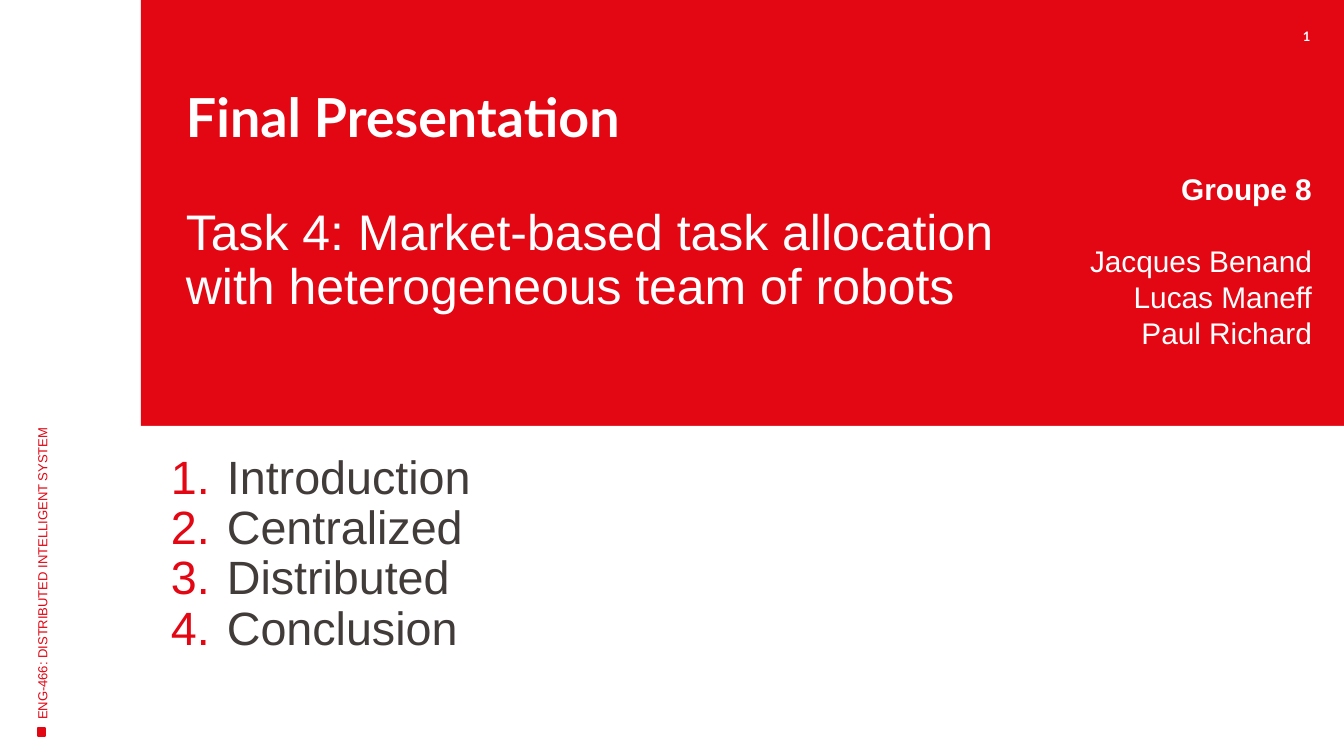
"""Build the opening slide of a robotics project presentation."""
from dataclasses import dataclass
from typing import Optional

from lxml import etree
from pptx import Presentation
from pptx import util as u
from pptx.dml.color import RGBColor
from pptx.enum import shapes, text
from pptx.oxml.ns import qn

PX = 914400 / 134.4
COLORS = {"red": "E30613", "white": "FFFFFF", "ink": "413C3A"}
LEFT, CENTER, RIGHT = text.PP_ALIGN.LEFT, text.PP_ALIGN.CENTER, text.PP_ALIGN.RIGHT


@dataclass(frozen=True)
class Box:
    left: int
    top: int
    width: int
    height: int

    def emu(self) -> list[int]:
        return [px(n) for n in (self.left, self.top, self.width, self.height)]


@dataclass(frozen=True)
class Panel:
    box: Box
    color: str
    outlined: bool = False


BACKDROP = [
    Panel(Box(672, 0, 672, 756), "red"),
    Panel(Box(141, 0, 679, 756), "red"),
    Panel(Box(133, 426, 1211, 330), "white"),
    Panel(Box(28, 715, 71, 27), "white", True),
    Panel(Box(38, 728, 7, 8), "red", True),
]
MEMBERS = ["Jacques Benand", "Lucas Maneff", "Paul Richard"]
CHAPTERS = ["Introduction", "Centralized", "Distributed", "Conclusion"]


def px(length: int) -> int:
    return round(length * PX)


def rgb(name: str) -> RGBColor:
    return RGBColor.from_string(COLORS[name])


def add_panel(slide, panel: Panel) -> None:
    shape = slide.shapes.add_shape(shapes.MSO_SHAPE.RECTANGLE, *panel.box.emu())
    shape.shadow.inherit = False
    shape.fill.solid()
    shape.fill.fore_color.rgb = rgb(panel.color)
    if panel.outlined:
        shape.line.color.rgb = rgb(panel.color)
        shape.line.width = u.Pt(0.75)
    else:
        shape.line.fill.background()


def set_frame(shape, insets: tuple[int, int, int, int], anchor=text.MSO_ANCHOR.TOP):
    frame = shape.text_frame
    frame.word_wrap = True
    frame.auto_size = text.MSO_AUTO_SIZE.NONE
    frame.vertical_anchor = anchor
    frame.margin_left, frame.margin_top, frame.margin_right, frame.margin_bottom = map(px, insets)
    return frame


def add_text(frame, words: str, *, size: float, color: str = "white", font: str = "Arial",
             bold: bool = False, align=LEFT, pitch: Optional[float] = None, before: float = 0):
    first = frame.paragraphs[0]
    paragraph = frame.add_paragraph() if first.runs else first
    paragraph.alignment = align
    paragraph.space_before = u.Pt(before)
    if pitch:
        paragraph.line_spacing = u.Pt(pitch)
    run = paragraph.add_run()
    run.text = words
    run.font.size = u.Pt(size)
    run.font.name = font
    run.font.bold = bold
    run.font.color.rgb = rgb(color)
    return paragraph


def number_paragraph(paragraph, color: str, margin: int, hanging: int) -> None:
    properties = paragraph._p.get_or_add_pPr()
    properties.set("marL", str(px(margin)))
    properties.set("indent", str(-px(hanging)))
    bullet_color = etree.SubElement(properties, qn("a:buClr"))
    etree.SubElement(bullet_color, qn("a:srgbClr"), val=COLORS[color])
    etree.SubElement(properties, qn("a:buFont"), typeface="Arial")
    etree.SubElement(properties, qn("a:buAutoNum"), type="arabicPeriod")


def add_frame(slide, box: Box, insets: tuple[int, int, int, int], rotation: int = 0,
              anchor=text.MSO_ANCHOR.TOP):
    shape = slide.shapes.add_textbox(*box.emu())
    shape.rotation = rotation
    return set_frame(shape, insets, anchor)


def add_title(slide, box: Box) -> None:
    title = slide.shapes.title
    title.left, title.top, title.width, title.height = box.emu()
    slide.shapes.element.append(title.element)
    frame = set_frame(title, (27, 0, 11, 68), text.MSO_ANCHOR.MIDDLE)
    add_text(frame, "Final Presentation", size=28.8, font="Lato", bold=True, pitch=31.1)
    add_text(frame, "Task 4: Market-based task allocation with heterogeneous team of robots",
             size=26.8, pitch=28.9, before=31.1)


def main() -> None:
    presentation = Presentation()
    presentation.slide_width, presentation.slide_height = px(1344), px(756)
    slide = presentation.slides.add_slide(presentation.slide_layouts[5])
    for panel in BACKDROP:
        add_panel(slide, panel)

    number = add_frame(slide, Box(1269, 28, 75, 24), (13, 0, 13, 0))
    add_text(number, "1", size=7, font="Lato", bold=True, align=CENTER)

    add_title(slide, Box(159, 105, 898, 263))

    team = add_frame(slide, Box(957, 163, 368, 246), (27, 7, 13, 7))
    add_text(team, "Groupe 8", size=16, bold=True, align=RIGHT, pitch=19.3)
    for index, member in enumerate(MEMBERS):
        add_text(team, member, size=16, align=RIGHT, pitch=19.3, before=0 if index else 19.3)

    agenda = add_frame(slide, Box(133, 446, 607, 218), (27, 7, 13, 7))
    for chapter in CHAPTERS:
        paragraph = add_text(agenda, chapter, size=25, color="ink", pitch=27)
        number_paragraph(paragraph, "red", margin=67, hanging=56)

    course = add_frame(slide, Box(-188, 478, 460, 50), (13, 7, 13, 7), 270, text.MSO_ANCHOR.MIDDLE)
    add_text(course, "ENG-466: DISTRIBUTED INTELLIGENT SYSTEM", size=7, color="red")

    presentation.save("out.pptx")


if __name__ == "__main__":
    main()
